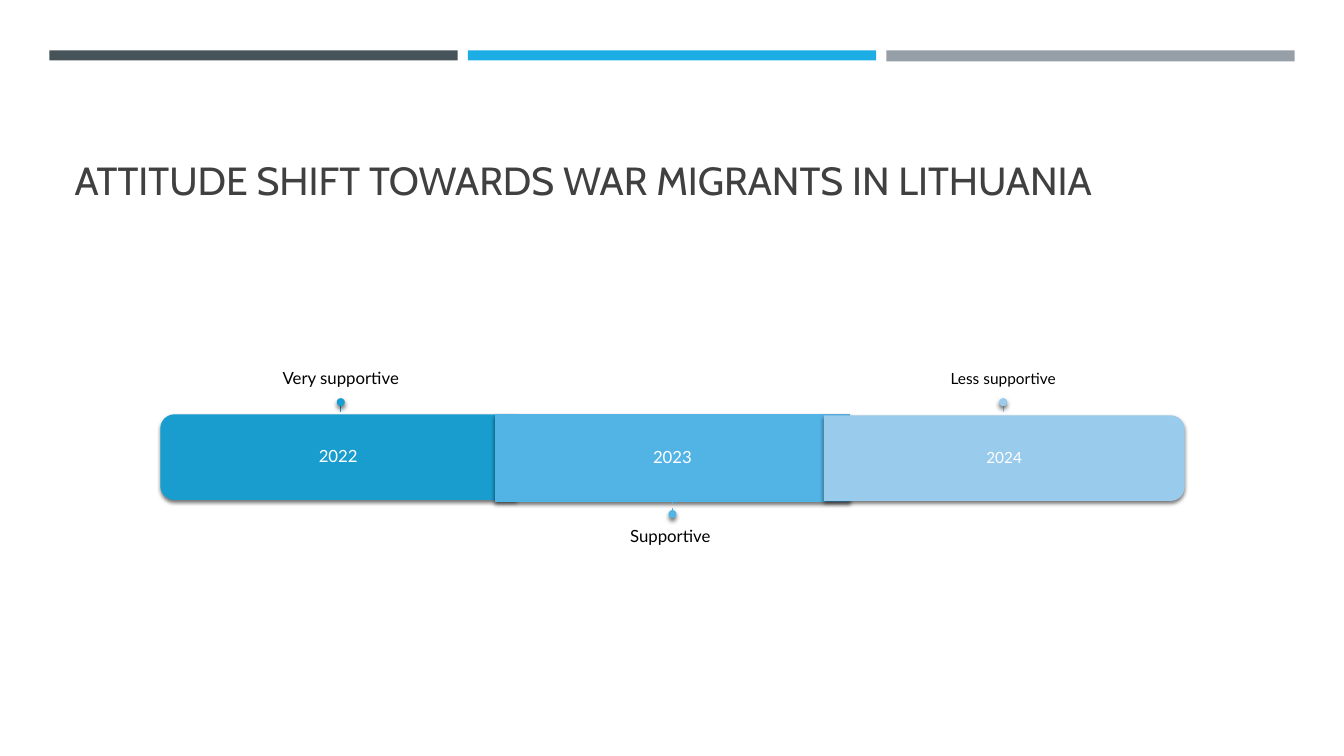
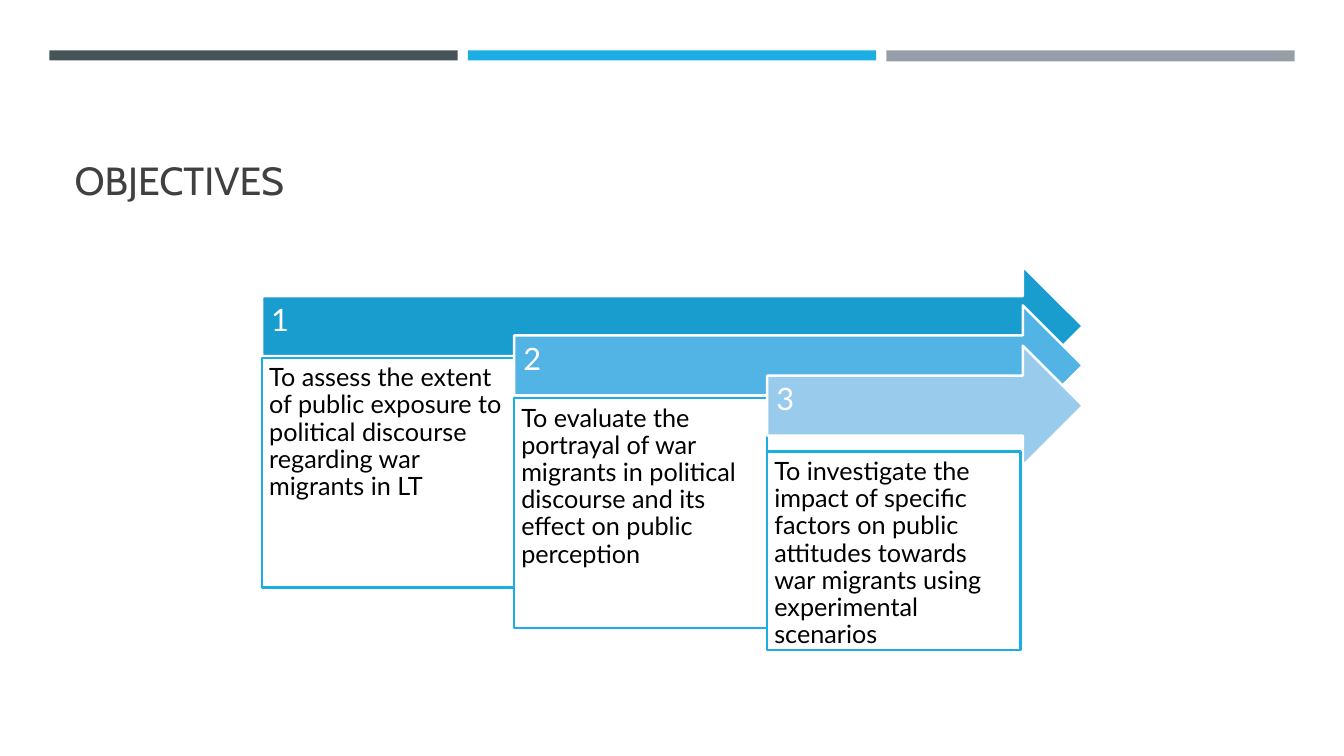
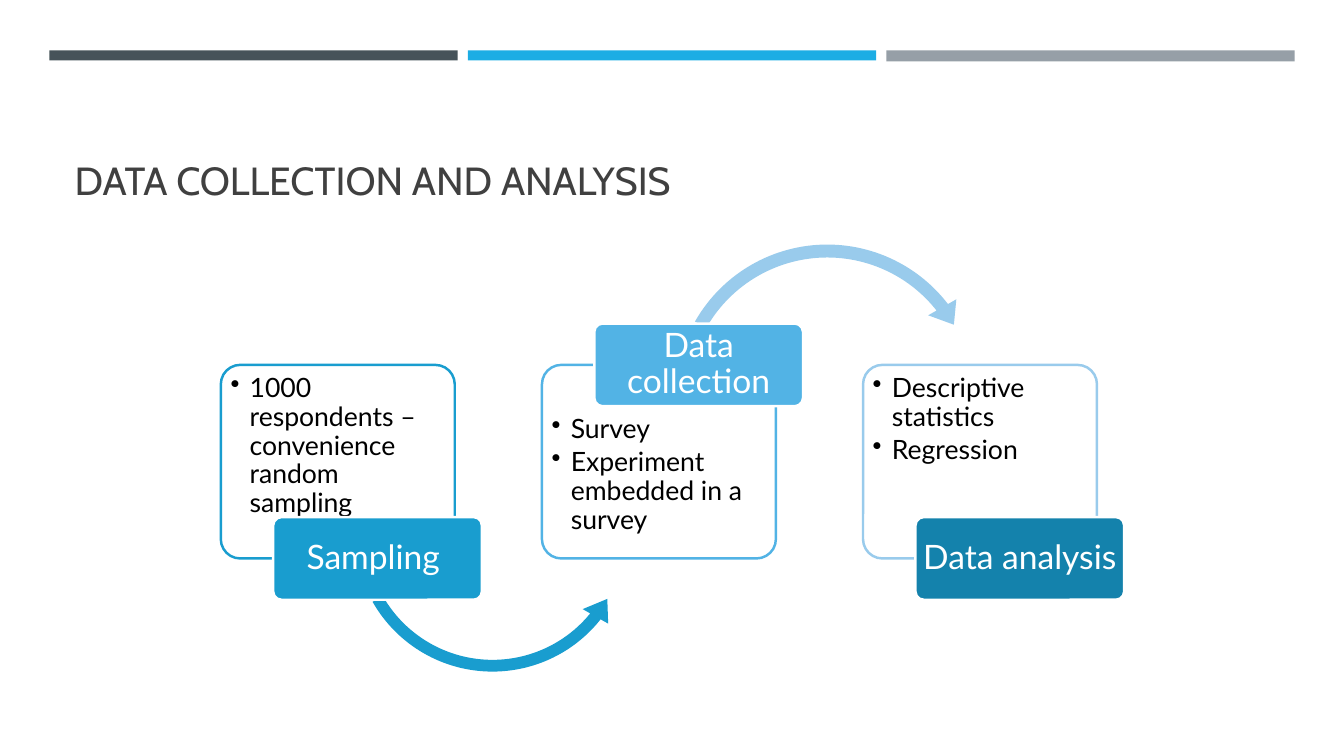
from dataclasses import dataclass

from lxml import etree
from pptx import Presentation
from pptx import util as u
from pptx.dml.color import RGBColor
from pptx.enum import dml, shapes, text
from pptx.oxml.ns import qn

Inches = u.Inches
Shape = shapes.MSO_SHAPE
Anchor = text.MSO_ANCHOR
Align = text.PP_ALIGN

COLORS = {
    "slate": "465359", "cyan": "1CADE4", "gray": "969FA7", "title": "404040",
    "blue": "199DCF", "sky": "52B3E5", "pale": "99CBEC", "deep": "1482AC",
    "white": "FFFFFF", "black": "000000",
}
TITLE_FONT, BODY_FONT = "Cabin", "Lato"

Box = tuple[float, float, float, float]


@dataclass
class Period:
    year: str
    attitude: str
    color: str
    band: Box
    rotation: int
    center: float
    size: int
    above: bool


@dataclass
class Objective:
    number: str
    goal: str
    color: str
    left: float
    arrow_top: float
    box_top: float
    box_height: float


@dataclass
class Stage:
    name: str
    points: list[str]
    card_color: str
    tag_color: str
    tag_on_top: bool


@dataclass
class Turn:
    kind: Shape
    box: Box
    color: str
    thickness: float
    head_angle: float
    end_angle: float
    start_angle: float
    head_width: float


PERIODS = [
    Period("2022", "Very supportive", "blue", (1.59, 4.11, 3.53, 0.85), 270, 3.38, 12, True),
    Period("2023", "Supportive ", "sky", (4.91, 4.11, 3.52, 0.87), 0, 6.67, 12, False),
    Period("2024", "Less supportive", "pale", (8.17, 4.12, 3.58, 0.85), 90, 9.95, 11, True),
]
OBJECTIVES = [
    Objective("1", "To assess the extent of public exposure to political discourse "
              "regarding war migrants in LT", "blue", 2.6, 2.64, 3.55, 2.28),
    Objective("2", "To evaluate the portrayal of war migrants in political discourse "
              "and its effect on public perception", "sky", 5.1, 3.03, 3.95, 2.28),
    Objective("3", "To investigate the impact of specific factors on public attitudes "
              "towards war migrants using experimental scenarios", "pale", 7.61, 3.43, 4.48, 1.97),
]
STAGES = [
    Stage("Sampling ", ["1000 respondents – convenience random sampling"], "blue", "blue", False),
    Stage("Data collection", ["Survey", "Experiment embedded in a survey"], "sky", "sky", True),
    Stage("Data analysis", ["Descriptive statistics", "Regression"], "pale", "deep", False),
]
TURNS = [
    Turn(Shape.LEFT_CIRCULAR_ARROW, (3.43, 3.84, 2.91, 2.91), "blue", 0.04, 9.18, 38.77, 150.41, 0.05),
    Turn(Shape.CIRCULAR_ARROW, (6.6, 2.33, 3.21, 3.21), "pale", 0.04, 8.25, 322.16, 209.59, 0.05),
]


def rgb(name: str) -> RGBColor:
    return RGBColor.from_string(COLORS[name])


def add_shape(slide, kind, box: Box, fill: str, line: str | None = None, shadow: bool = False):
    shape = slide.shapes.add_shape(kind, *map(Inches, box))
    shape.shadow.inherit = False
    shape.fill.solid()
    shape.fill.fore_color.rgb = rgb(fill)
    if line:
        shape.line.color.rgb = rgb(line)
        shape.line.width = u.Pt(1.75)
    else:
        shape.line.fill.background()
    if shadow:
        effects = shape.element.spPr.find(qn("a:effectLst"))
        outer = etree.SubElement(effects, qn("a:outerShdw"), blurRad=str(u.Pt(3)),
                                 dist=str(u.Pt(2)), dir="5400000", rotWithShape="0")
        color = etree.SubElement(outer, qn("a:srgbClr"), val=COLORS["black"])
        etree.SubElement(color, qn("a:alpha"), val="55000")
    return shape


def write(shape, lines: list[str], size: float, color: str, insets: Box,
          anchor=Anchor.MIDDLE, align=Align.CENTER, bullets: bool = False) -> None:
    frame = shape.text_frame
    frame.word_wrap = True
    frame.vertical_anchor = anchor
    frame.margin_left, frame.margin_top, frame.margin_right, frame.margin_bottom = map(Inches, insets)
    frame.text = "\n".join(lines)
    for index, paragraph in enumerate(frame.paragraphs):
        if bullets:
            properties = paragraph._p.get_or_add_pPr()
            properties.set("marL", str(Inches(0.19)))
            properties.set("indent", str(Inches(-0.19)))
            etree.SubElement(properties, qn("a:buChar"), char="•")
        paragraph.alignment = align
        paragraph.line_spacing = 0.9
        if index:
            paragraph.space_before = u.Pt(3)
        paragraph.font.name = BODY_FONT
        paragraph.font.size = u.Pt(size)
        paragraph.font.color.rgb = rgb(color)


def add_text(slide, box: Box, line: str, size: float, color: str, insets: Box, anchor=Anchor.MIDDLE) -> None:
    write(slide.shapes.add_textbox(*map(Inches, box)), [line], size, color, insets, anchor)


def add_titled_slide(presentation, title: str):
    slide = presentation.slides.add_slide(presentation.slide_layouts[5])
    shape = slide.shapes.title
    shape.left, shape.top, shape.width, shape.height = map(Inches, (0.64, 0.77, 12.06, 1.3))
    frame = shape.text_frame
    frame.text = title
    frame.vertical_anchor = Anchor.BOTTOM
    paragraph = frame.paragraphs[0]
    paragraph.alignment = Align.LEFT
    paragraph.font.name = TITLE_FONT
    paragraph.font.size = u.Pt(28)
    paragraph.font.color.rgb = rgb("title")
    return slide


def move_bands_to_layout(slide) -> None:
    """Draw the top bands and hand them to the layout that all slides use."""
    layout = slide.slide_layout
    for placeholder in list(layout.placeholders):
        if placeholder.placeholder_format.type != shapes.PP_PLACEHOLDER.TITLE:
            layout.shapes.element.remove(placeholder.element)
    bands = [add_shape(slide, Shape.RECTANGLE, (0.49 + index * 4.15, 0.5, 4.05, height), color)
             for index, (color, height) in enumerate([("slate", 0.1), ("cyan", 0.1), ("gray", 0.11)])]
    for band in bands:
        layout.shapes.element.append(band.element)


def add_period(slide, period: Period) -> None:
    # Band with the year
    left, top, width, height = period.band
    if period.rotation:
        upright = (left + (width - height) / 2, top + (height - width) / 2, height, width)
        band = add_shape(slide, Shape.ROUND_2_SAME_RECTANGLE, upright, period.color, shadow=True)
        band.rotation = period.rotation
    else:
        add_shape(slide, Shape.RECTANGLE, period.band, period.color, shadow=True)
    add_text(slide, period.band, period.year, period.size, "white", (0.1, 0.1, 0.1, 0.1))

    # Attitude, stem and dot
    if period.above:
        label_top, insets, anchor = 2.56, (0, 0, 0, 0.1), Anchor.BOTTOM
        stem, dot_top = (4.03, 4.35), 3.95
    else:
        label_top, insets, anchor = 5.14, (0, 0.1, 0, 0), Anchor.TOP
        stem, dot_top = (4.75, 5.06), 5.06
    add_text(slide, (period.center - 2.74, label_top, 5.48, 1.39), period.attitude,
             period.size, "black", insets, anchor)
    line = slide.shapes.add_connector(shapes.MSO_CONNECTOR.STRAIGHT, Inches(period.center), Inches(stem[0]),
                                      Inches(period.center), Inches(stem[1]))
    line.line.color.rgb = rgb(period.color)
    line.line.width = u.Pt(1)
    line.line.dash_style = dml.MSO_LINE.DASH
    etree.SubElement(line.element.spPr, qn("a:effectLst"))
    add_shape(slide, Shape.OVAL, (period.center - 0.04, dot_top, 0.08, 0.08), period.color, shadow=True)


def add_objective(slide, objective: Objective) -> None:
    arrow_box = (objective.left, objective.arrow_top, 10.74 - objective.left, 1.19)
    arrow = add_shape(slide, Shape.RIGHT_ARROW, arrow_box, objective.color, "white")
    write(arrow, [objective.number], 22, "white", (0.09, 0.09, 0.28, 0.19), align=Align.LEFT)
    goal_box = (objective.left, objective.box_top, 2.51, objective.box_height)
    goal = add_shape(slide, Shape.RECTANGLE, goal_box, "white", "cyan")
    write(goal, [objective.goal], 18, "black", (0.07, 0.07, 0.07, 0.07), Anchor.TOP, Align.LEFT)


def add_stage(slide, stage: Stage, left: float) -> None:
    card = add_shape(slide, Shape.ROUNDED_RECTANGLE, (left, 3.62, 2.32, 1.92), "white", stage.card_color)
    top_inset = 0.45 if stage.tag_on_top else 0.04
    write(card, stage.points, 19, "black", (0.04, top_inset, 0.02, 0.04), Anchor.TOP, Align.LEFT, bullets=True)
    tag_top = 3.21 if stage.tag_on_top else 5.13
    tag = add_shape(slide, Shape.ROUNDED_RECTANGLE, (left + 0.52, tag_top, 2.07, 0.82), stage.tag_color, "white")
    write(tag, [stage.name], 24, "white", (0.04, 0.03, 0.04, 0.03))
    for shape in (card, tag):
        shape.adjustments[0] = 0.1


def add_turn(slide, turn: Turn) -> None:
    arrow = add_shape(slide, turn.kind, turn.box, turn.color)
    degree = 0.6  # one degree in adjustment units
    values = (turn.thickness, turn.head_angle * degree, turn.end_angle * degree,
              turn.start_angle * degree, turn.head_width)
    for index, value in enumerate(values):
        arrow.adjustments[index] = value


def main() -> None:
    presentation = Presentation()
    presentation.slide_width, presentation.slide_height = Inches(13.33), Inches(7.5)

    # Timeline
    slide = add_titled_slide(presentation, "ATTITUDE SHIFT TOWARDS WAR MIGRANTS IN LITHUANIA")
    move_bands_to_layout(slide)
    for period in PERIODS:
        add_period(slide, period)

    # Objectives
    slide = add_titled_slide(presentation, "OBJECTIVES")
    for objective in OBJECTIVES:
        add_objective(slide, objective)

    # Process
    slide = add_titled_slide(presentation, "DATA COLLECTION AND ANALYSIS")
    for turn in TURNS:
        add_turn(slide, turn)
    for index, stage in enumerate(STAGES):
        add_stage(slide, stage, 2.19 + index * 3.185)

    presentation.save("out.pptx")


if __name__ == "__main__":
    main()
